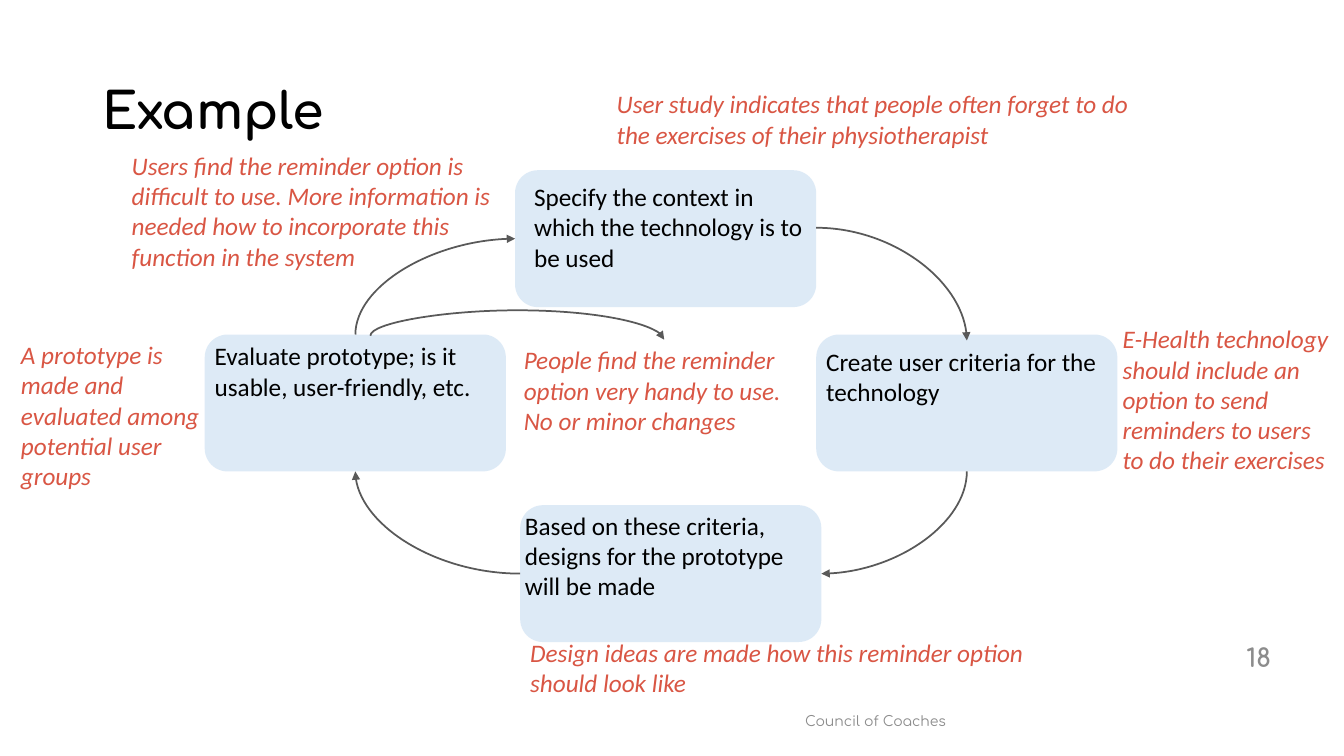
from dataclasses import dataclass

import pptx
import pptx.dml.color
import pptx.enum.shapes
import pptx.enum.text
import pptx.oxml.ns
import pptx.oxml.xmlchemy
import pptx.util
from lxml import etree

Cm = pptx.util.Cm
Align = pptx.enum.text.PP_ALIGN
Anchor = pptx.enum.text.MSO_ANCHOR
qn = pptx.oxml.ns.qn


@dataclass(frozen=True)
class Theme:
    heading_font: str = "Comfortaa"
    body_font: str = "Calibri"
    ink: str = "000000"
    note: str = "D95644"
    muted: str = "8C8C8C"
    card: str = "BDD7EE"
    card_alpha: int = 50
    arrow: str = "595959"
    arrow_width: float = 1.25
    title_size: int = 36
    body_size: int = 18
    footer_size: int = 10


THEME = Theme()
CARD_W, CARD_H = 7.59, 3.45

# Each step: card position in the cycle, label offset from the card, label size, wording
STEPS = {
    "context": ((7.82, 0), (0.23, 0.16), (7.37, 2.57),
                "Specify the context in which the technology is to be used"),
    "criteria": ((15.41, 4.14), (0, 0.16), (7.59, 1.8),
                 "Create user criteria for the technology"),
    "designs": ((7.95, 8.44), (-0.13, 0), (7.59, 2.57),
                "Based on these criteria, designs for the prototype will be made"),
    "evaluate": ((0, 4.14), (0, 0.03), (8.36, 1.8),
                 "Evaluate prototype; is it usable, user-friendly, etc."),
}

# Each note: box on the slide, wording
NOTES = [
    ((15.29, 2.11, 13.56, 1.8),
     "User study indicates that people often forget to do the exercises of their physiotherapist"),
    ((28.04, 8.03, 5.82, 4.11),
     "E-Health technology should include an option to send reminders to users to do their exercises"),
    ((13.11, 15.93, 13.41, 1.8),
     "Design ideas are made how this reminder option should look like"),
    ((0.28, 8.43, 5, 4.11),
     "A prototype is made and evaluated among potential user groups"),
    ((12.95, 8.56, 7.59, 2.57),
     "People find the reminder option very handy to use. No or minor changes"),
    ((3.07, 3.66, 9.88, 3.33),
     "Users find the reminder option is difficult to use. More information is needed "
     "how to incorporate this function in the system"),
]


def rgb(value):
    return pptx.dml.color.RGBColor.from_string(value)


def add_text(slide, box, wording, size, color, font, bold=False, italic=False,
             align=Align.LEFT, anchor=Anchor.TOP):
    frame = slide.shapes.add_textbox(*(Cm(v) for v in box)).text_frame
    frame.word_wrap = True
    frame.vertical_anchor = anchor
    paragraph = frame.paragraphs[0]
    paragraph.text = wording
    paragraph.alignment = align
    paragraph.font.name = font
    paragraph.font.size = pptx.util.Pt(size)
    paragraph.font.bold = bold
    paragraph.font.italic = italic
    paragraph.font.color.rgb = rgb(color)
    return paragraph


def add_card(slide, left, top):
    card = slide.shapes.add_shape(pptx.enum.shapes.MSO_SHAPE.ROUNDED_RECTANGLE,
                                  Cm(left), Cm(top), Cm(CARD_W), Cm(CARD_H))
    card.shadow.inherit = False
    card.fill.solid()
    card.fill.fore_color.rgb = rgb(THEME.card)
    card.line.fill.background()
    tint = card.fill._xPr.find(f"{qn('a:solidFill')}/{qn('a:srgbClr')}")
    etree.SubElement(tint, qn("a:alpha"), val=str(THEME.card_alpha * 1000))


def add_curve(slide, start, end, upright=False, rise=None):
    """Curved arrow; upright leaves start vertically, rise bows it above both ends."""
    dx, dy = end[0] - start[0], end[1] - start[1]
    # The preset leaves horizontally, so an upright one is turned by 90 degrees
    along, across = (dy, -dx) if upright else (dx, dy)
    width, height = abs(along), abs(across)
    left = (start[0] + end[0] - width) / 2
    top = (start[1] + end[1] - height) / 2
    curve = slide.shapes.add_connector(
        pptx.enum.shapes.MSO_CONNECTOR.CURVE,
        Cm(left), Cm(top), Cm(left + width), Cm(top + height))
    curve.line.color.rgb = rgb(THEME.arrow)
    curve.line.width = pptx.util.Pt(THEME.arrow_width)

    properties = curve._element.spPr
    frame = properties.find(qn("a:xfrm"))
    if upright:
        frame.set("rot", str(90 * 60000))
    if along < 0:
        frame.set("flipH", "1")
    if across < 0:
        frame.set("flipV", "1")
    geometry = properties.find(qn("a:prstGeom"))
    if rise is None:
        geometry.set("prst", "curvedConnector2")
    else:
        guides = geometry.find(qn("a:avLst"))
        if guides is None:
            guides = etree.SubElement(geometry, qn("a:avLst"))
        bow = round(-rise / along * 100000)
        etree.SubElement(guides, qn("a:gd"), name="adj1", fmla=f"val {bow}")
    etree.SubElement(properties.find(qn("a:ln")), qn("a:tailEnd"), type="triangle")
    etree.SubElement(properties, qn("a:effectLst"))


def build_title(slide, box):
    title = add_text(slide, box, "Example", THEME.title_size, THEME.ink,
                     THEME.heading_font, bold=True, anchor=Anchor.MIDDLE)
    title.line_spacing = 0.9


def build_cycle(slide, left, top):
    cards = {step: (left + x, top + y) for step, ((x, y), *_) in STEPS.items()}

    def on_card(step, across, down):
        x, y = cards[step]
        return x + across * CARD_W, y + down * CARD_H

    # Cards, then their labels
    for corner in cards.values():
        add_card(slide, *corner)
    for step, (_, (shift_x, shift_y), size, wording) in STEPS.items():
        x, y = cards[step]
        add_text(slide, (x + shift_x, y + shift_y, *size), wording,
                 THEME.body_size, THEME.ink, THEME.body_font)

    # Arrows round the cycle
    criteria_x, criteria_y = on_card("criteria", 0.5, 0)
    add_curve(slide, on_card("evaluate", 0.5, 0), on_card("context", 0, 0.5), upright=True)
    add_curve(slide, on_card("context", 1, 0.42), (criteria_x, criteria_y + 0.15))
    add_curve(slide, on_card("criteria", 0.5, 1), on_card("designs", 1, 0.5), upright=True)
    add_curve(slide, on_card("designs", 0, 0.5), on_card("evaluate", 0.5, 1))

    # Arrow from the evaluation to the finished outcome
    exit_x, exit_y = on_card("evaluate", 0.55, 0)
    add_curve(slide, (exit_x, exit_y + 0.03), (left + 11.58, exit_y + 0.13),
              upright=True, rise=0.64)


def build_notes(slide, left, top):
    for (x, y, width, height), wording in NOTES:
        add_text(slide, (left + x, top + y, width, height), wording,
                 THEME.body_size, THEME.note, THEME.body_font, italic=True)


def build_footer(slide, left, top):
    add_text(slide, (left, top + 1.6, 12.93, 1.02), "Council of Coaches", THEME.footer_size,
             THEME.muted, THEME.heading_font, align=Align.CENTER, anchor=Anchor.MIDDLE)
    add_text(slide, (left + 14.78, top, 1.9, 1.02), "18", THEME.body_size, THEME.muted,
             THEME.heading_font, bold=True, align=Align.RIGHT, anchor=Anchor.MIDDLE)


def main():
    deck = pptx.Presentation()
    deck.slide_width, deck.slide_height = Cm(33.87), Cm(19.05)
    slide = deck.slides.add_slide(deck.slide_layouts[6])
    build_title(slide, (2.34, 1.02, 29.21, 3.68))
    build_cycle(slide, 5.16, 4.29)
    build_notes(slide, 0, 0)
    build_footer(slide, 15.6, 16.05)
    deck.save("out.pptx")


if __name__ == "__main__":
    main()
